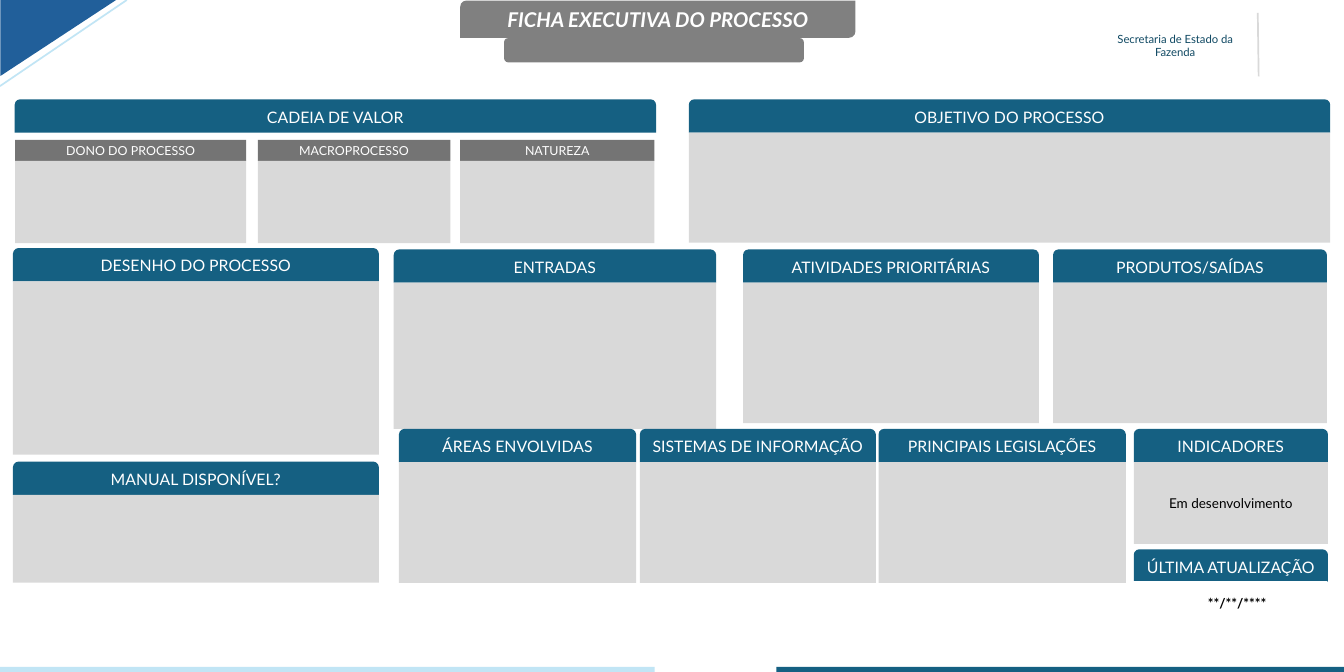
import pptx
import pptx.util
import pptx.dml.color
import pptx.enum.shapes
import pptx.enum.text
from lxml import etree

Pt = pptx.util.Pt
SHAPES = pptx.enum.shapes.MSO_SHAPE

THEME = {
    "font": "Lato",
    "colors": {
        "blue": "156082", "sky": "C1E5F5", "corner": "215F9A", "ink": "104963",
        "tab": "808080", "label": "747474", "body": "D9D9D9",
        "white": "FFFFFF", "black": "000000",
    },
    "sizes": {"title": 18, "header": 14, "body": 12, "label": 11, "office": 10},
}

# Content: lengths in points
TITLE = "FICHA EXECUTIVA DO PROCESSO"
OFFICE = "Secretaria de Estado da Fazenda"
DATE = "**/**/****"

# Header, left, top, width, body height, body text
PANELS = [
    ("CADEIA DE VALOR", 13, 88, 568, 0, ""),
    ("OBJETIVO DO PROCESSO", 610, 88, 568, 97.5, ""),
    ("DESENHO DO PROCESSO", 11.5, 219.8, 324, 153.5, ""),
    ("ENTRADAS", 348.7, 221, 285.5, 129.5, ""),
    ("ATIVIDADES PRIORITÁRIAS", 658, 221, 262, 124.5, ""),
    ("PRODUTOS/SAÍDAS", 932.5, 221, 242.5, 124.5, ""),
    ("ÁREAS ENVOLVIDAS", 353.3, 380, 210, 107, ""),
    ("SISTEMAS DE INFORMAÇÃO", 566.6, 380, 209, 107, ""),
    ("PRINCIPAIS LEGISLAÇÕES", 778, 380, 219, 107, ""),
    ("INDICADORES", 1004, 380, 172, 72.5, "Em desenvolvimento"),
    ("ÚLTIMA ATUALIZAÇÃO", 1004, 486.7, 172, 0, ""),
    ("MANUAL DISPONÍVEL?", 11.5, 409, 324, 77.8, ""),
]
HEADER_HEIGHT = 29.5

# Label, left, width
CHAIN_LINKS = [
    ("DONO DO PROCESSO", 13.5, 204.5),
    ("MACROPROCESSO", 228.3, 170.6),
    ("NATUREZA", 407.5, 172),
]
LINK_TOP, LINK_HEIGHT, LINK_BODY_HEIGHT = 124, 18.5, 73

deck = pptx.Presentation()
deck.slide_width, deck.slide_height = Pt(1190.16), Pt(595.44)
page = deck.slides.add_slide(deck.slide_layouts[6])


def color(name):
    return pptx.dml.color.RGBColor.from_string(THEME["colors"][name])


def block(kind, left, top, width, height, fill):
    shape = page.shapes.add_shape(kind, Pt(left), Pt(top), Pt(width), Pt(height))
    shape.shadow.inherit = False
    shape.fill.solid()
    shape.fill.fore_color.rgb = color(fill)
    shape.line.fill.background()
    return shape


def write(shape, text, size, ink="white", bold=False, italic=False):
    frame = shape.text_frame
    frame.word_wrap = True
    frame.vertical_anchor = pptx.enum.text.MSO_ANCHOR.MIDDLE
    paragraph = frame.paragraphs[0]
    paragraph.alignment = pptx.enum.text.PP_ALIGN.CENTER
    run = paragraph.add_run()
    run.text = text
    run.font.name = THEME["font"]
    run.font.size = Pt(THEME["sizes"][size])
    run.font.color.rgb = color(ink)
    run.font.bold, run.font.italic = bold, italic


def rule(x1, y1, x2, y2, ink):
    line = page.shapes.add_connector(
        pptx.enum.shapes.MSO_CONNECTOR.STRAIGHT, Pt(x1), Pt(y1), Pt(x2), Pt(y2))
    line.line.color.rgb = color(ink)
    line.line.width = Pt(1.5)
    properties = line._element.spPr
    etree.SubElement(properties, pptx.oxml.ns.qn("a:effectLst"))


# Title tab and office name
title_tab = block(SHAPES.ROUND_2_DIAG_RECTANGLE, 407.5, 0.5, 350, 33, "tab")
write(title_tab, TITLE, "title", bold=True, italic=True)
block(SHAPES.ROUNDED_RECTANGLE, 446.4, 33.8, 265.5, 21.5, "tab")
office = block(SHAPES.ROUNDED_RECTANGLE, 972.7, 11.5, 136, 57.6, "white")
write(office, OFFICE, "office", ink="ink")
rule(1113.8, 11.5, 1114.6, 67.7, "body")

# Corner ornament
corner = block(SHAPES.RIGHT_TRIANGLE, 18, -18, 67.7, 103, "corner")
corner.rotation = 90
rule(0, 76.3, 112.3, 0, "sky")

# Panels
for heading, left, top, width, body_height, body_text in PANELS:
    header = block(SHAPES.ROUND_2_SAME_RECTANGLE, left, top, width, HEADER_HEIGHT, "blue")
    write(header, heading, "header")
    if body_height:
        body = block(SHAPES.RECTANGLE, left, top + HEADER_HEIGHT, width, body_height, "body")
        if body_text:
            write(body, body_text, "body", ink="black")

# Value chain links
for label, left, width in CHAIN_LINKS:
    link = block(SHAPES.RECTANGLE, left, LINK_TOP, width, LINK_HEIGHT, "label")
    write(link, label, "label")
    block(SHAPES.RECTANGLE, left, LINK_TOP + LINK_HEIGHT, width, LINK_BODY_HEIGHT, "body")

# Update date, set slightly right of centre
update = block(SHAPES.RECTANGLE, 1002.2, 515.5, 172.8, 38.2, "white")
update.line.color.rgb = color("white")
update.line.width = Pt(1.5)
update.text_frame.margin_left = Pt(21)
write(update, DATE, "body", ink="black", bold=True)

# Footer bands
for left, width, fill in [(687.6, 502.56, "blue"), (-2, 581.8, "sky")]:
    block(SHAPES.RECTANGLE, left, 591, width, 5, fill)

deck.save("out.pptx")
